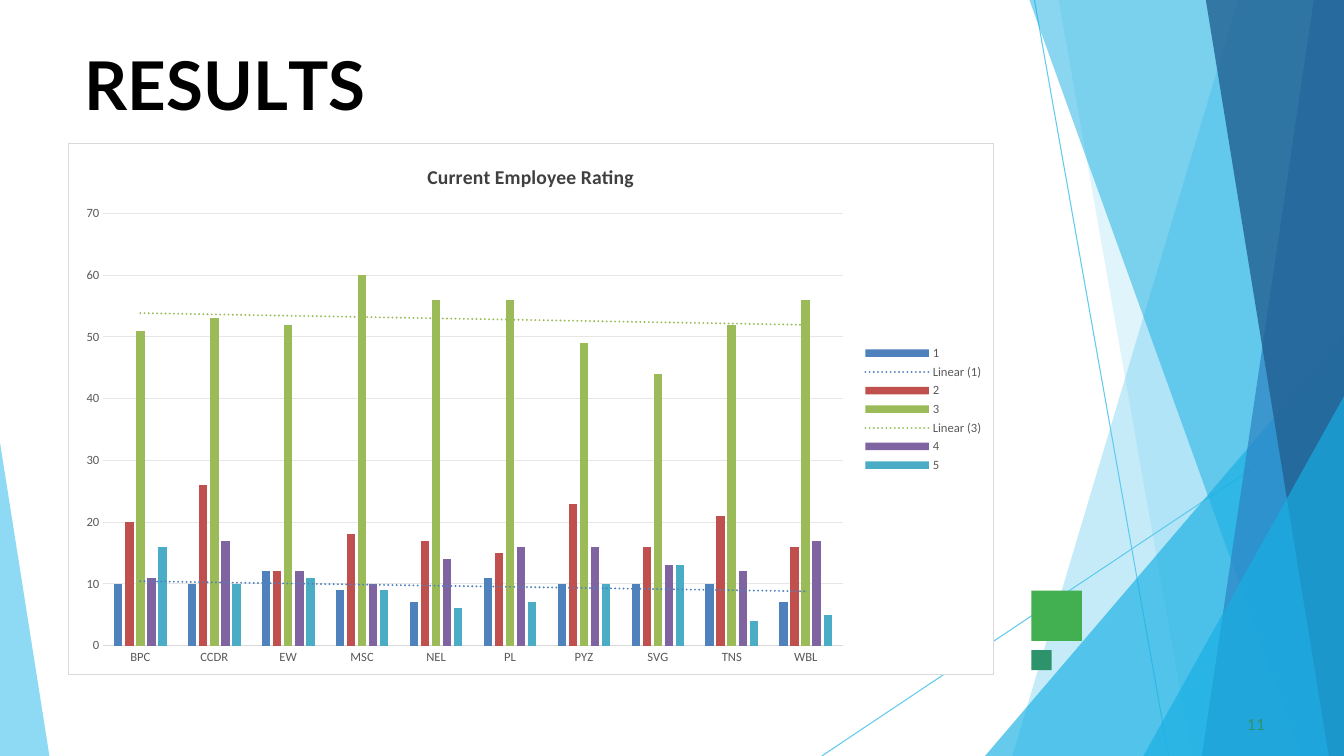
import pptx
import pptx.chart.data
import pptx.dml.color
import pptx.enum.chart
import pptx.enum.shapes
import pptx.oxml
import pptx.oxml.ns
import pptx.util
from pptx.util import Inches

COLORS = {
    "black": "000000", "white": "FFFFFF", "sky": "5FCAEE", "cyan": "17AFE3",
    "blue": "2D83C3", "navy": "226192", "green": "42AF51", "teal": "2D936B",
    "title": "404040", "label": "595959", "border": "D9D9D9", "grid": "E6E6E6",
    "rating 1": "4F81BD", "rating 2": "C0504D", "rating 3": "9BBB59",
    "rating 4": "8064A2", "rating 5": "4BACC6",
}

WIDTH, HEIGHT = 13.33, 7.5

THIN_LINES = [(10.26, 0, 11.59, HEIGHT), (WIDTH, 4.04, 8.15, HEIGHT)]

FACETS = [
    ([(WIDTH, 0), (12.28, 0), (10.04, HEIGHT), (WIDTH, HEIGHT)], "sky", 36),
    ([(WIDTH, 0), (10.5, 0), (11.82, HEIGHT), (WIDTH, HEIGHT)], "sky", 20),
    ([(WIDTH, 3.33), (9.77, HEIGHT), (WIDTH, HEIGHT)], "cyan", 66),
    ([(WIDTH, 0), (10.21, 0), (12.91, HEIGHT), (WIDTH, HEIGHT)], "cyan", 50),
    ([(WIDTH, 0), (13.03, 0), (11.92, HEIGHT), (WIDTH, HEIGHT)], "blue", 70),
    ([(WIDTH, 0), (11.96, 0), (13.18, HEIGHT), (WIDTH, HEIGHT)], "navy", 80),
    ([(WIDTH, 3.93), (11.34, HEIGHT), (WIDTH, HEIGHT)], "cyan", 66),
    ([(0, 4.39), (0, HEIGHT), (0.49, HEIGHT)], "sky", 70),
]

SQUARES = [(10.23, 5.86, 0.5, "green"), (10.23, 6.45, 0.2, "teal")]

UNITS = ["BPC", "CCDR", "EW", "MSC", "NEL", "PL", "PYZ", "SVG", "TNS", "WBL"]
RATINGS = {
    "1": [10, 10, 12, 9, 7, 11, 10, 10, 10, 7],
    "2": [20, 26, 12, 18, 17, 15, 23, 16, 21, 16],
    "3": [51, 53, 52, 60, 56, 56, 49, 44, 52, 56],
    "4": [11, 17, 12, 10, 14, 16, 16, 13, 12, 17],
    "5": [16, 10, 11, 9, 6, 7, 10, 13, 4, 5],
}
TRENDED = ("1", "3")


def rgb(name):
    return pptx.dml.color.RGBColor.from_string(COLORS[name])


def parse(xml):
    return pptx.oxml.parse_xml(xml)


def fill_solid(shape, color):
    shape.shadow.inherit = False
    shape.fill.solid()
    shape.fill.fore_color.rgb = rgb(color)
    shape.line.fill.background()


def add_thin_line(slide, start_x, start_y, end_x, end_y):
    line = slide.shapes.add_connector(
        pptx.enum.shapes.MSO_CONNECTOR.STRAIGHT,
        Inches(start_x), Inches(start_y), Inches(end_x), Inches(end_y))
    line.line.color.rgb = rgb("sky")
    line.line.width = pptx.util.Pt(0.75)
    line._element.spPr.append(parse(f"<a:effectLst {pptx.oxml.ns.nsdecls('a')}/>"))


def add_facet(slide, points, color, opacity):
    corners = [(Inches(x), Inches(y)) for x, y in points]
    builder = slide.shapes.build_freeform(*corners[0])
    builder.add_line_segments(corners[1:], close=True)
    facet = builder.convert_to_shape()
    fill_solid(facet, color)
    tint = facet._element.spPr.find(".//" + pptx.oxml.ns.qn("a:srgbClr"))
    tint.append(parse(f'<a:alpha {pptx.oxml.ns.nsdecls("a")} val="{opacity * 1000}"/>'))


def add_square(slide, left, top, side, color):
    square = slide.shapes.add_shape(
        pptx.enum.shapes.MSO_SHAPE.RECTANGLE,
        Inches(left), Inches(top), Inches(side), Inches(side))
    fill_solid(square, color)


def set_font(font, face, size, color, bold=False):
    font.name = face
    font.size = pptx.util.Pt(size)
    font.color.rgb = rgb(color)
    font.bold = bold


def add_text(slide, box, runs, size, color, bold, space_before, indent):
    shape = slide.shapes.add_textbox(*(Inches(length) for length in box))
    frame = shape.text_frame
    frame.word_wrap = True
    frame.margin_left = Inches(indent)
    frame.margin_right = frame.margin_bottom = 0
    frame.margin_top = Inches(0.01)
    paragraph = frame.paragraphs[0]
    paragraph.space_before = pptx.util.Pt(space_before)
    set_font(paragraph.font, "Lato", size, color, bold)
    for text, spacing in runs:
        run = paragraph.add_run()
        run.text = text
        run.font._element.set("spc", str(round(spacing * 100)))


def add_trendline(series, color):
    trendline = parse(
        f'<c:trendline {pptx.oxml.ns.nsdecls("c", "a")}><c:spPr><a:ln w="19050" cap="rnd">'
        f'<a:solidFill><a:srgbClr val="{COLORS[color]}"/></a:solidFill>'
        '<a:prstDash val="sysDot"/></a:ln></c:spPr><c:trendlineType val="linear"/>'
        '<c:dispRSqr val="0"/><c:dispEq val="0"/></c:trendline>')
    series._element.find(pptx.oxml.ns.qn("c:cat")).addprevious(trendline)


def frame_chart(chart):
    properties = parse(
        f'<c:spPr {pptx.oxml.ns.nsdecls("c", "a")}><a:solidFill>'
        f'<a:srgbClr val="{COLORS["white"]}"/></a:solidFill><a:ln w="9525"><a:solidFill>'
        f'<a:srgbClr val="{COLORS["border"]}"/></a:solidFill></a:ln></c:spPr>')
    chart._chartSpace.find(pptx.oxml.ns.qn("c:chart")).addnext(properties)


def style_axes(chart):
    for axis in (chart.category_axis, chart.value_axis):
        axis.major_tick_mark = pptx.enum.chart.XL_TICK_MARK.NONE
        axis.minor_tick_mark = pptx.enum.chart.XL_TICK_MARK.NONE
        set_font(axis.tick_labels.font, "Calibri", 9, "label")
    category_line = chart.category_axis.format.line
    category_line.color.rgb = rgb("border")
    category_line.width = pptx.util.Pt(0.75)
    chart.value_axis.format.line.fill.background()
    grid_line = chart.value_axis.major_gridlines.format.line
    grid_line.color.rgb = rgb("grid")
    grid_line.width = pptx.util.Pt(0.75)


def add_rating_chart(slide):
    data = pptx.chart.data.CategoryChartData()
    data.categories = UNITS
    for rating, counts in RATINGS.items():
        data.add_series(rating, counts)
    chart = slide.shapes.add_chart(
        pptx.enum.chart.XL_CHART_TYPE.COLUMN_CLUSTERED,
        Inches(0.67), Inches(1.42), Inches(9.19), Inches(5.28), data).chart
    set_font(chart.font, "Calibri", 10, "black")
    chart.has_title = True
    paragraph = chart.chart_title.text_frame.paragraphs[0]
    paragraph.text = "Current Employee Rating"
    set_font(paragraph.font, "Calibri", 14, "title", True)
    chart.has_legend = True
    chart.legend.position = pptx.enum.chart.XL_LEGEND_POSITION.RIGHT
    chart.legend.include_in_layout = False
    set_font(chart.legend.font, "Calibri", 9, "label")
    plot = chart.plots[0]
    plot.gap_width = 246
    plot.overlap = -28
    plot.vary_by_categories = False
    for series in plot.series:
        color = f"rating {series.name}"
        series.format.fill.solid()
        series.format.fill.fore_color.rgb = rgb(color)
        if series.name in TRENDED:
            add_trendline(series, color)
    style_axes(chart)
    frame_chart(chart)


def main():
    presentation = pptx.Presentation()
    presentation.slide_width = Inches(WIDTH)
    presentation.slide_height = Inches(HEIGHT)
    slide = presentation.slides.add_slide(presentation.slide_layouts[6])
    for line in THIN_LINES:
        add_thin_line(slide, *line)
    for facet in FACETS:
        add_facet(slide, *facet)
    for square in SQUARES:
        add_square(slide, *square)
    title_runs = [("R", 0), ("E", -0.4), ("S", 0.1), ("U", -0.3), ("L", -4), ("TS", 0)]
    add_text(slide, (0.83, 0.42, 11.68, 0.83), title_runs, 48, "black", True, 1.1, 0.01)
    add_text(slide, (12.33, 7.08, 0.25, 0.21), [("11", 0.1)], 11, "teal", False, 0.6, 0.04)
    add_rating_chart(slide)
    presentation.save("out.pptx")


if __name__ == "__main__":
    main()
